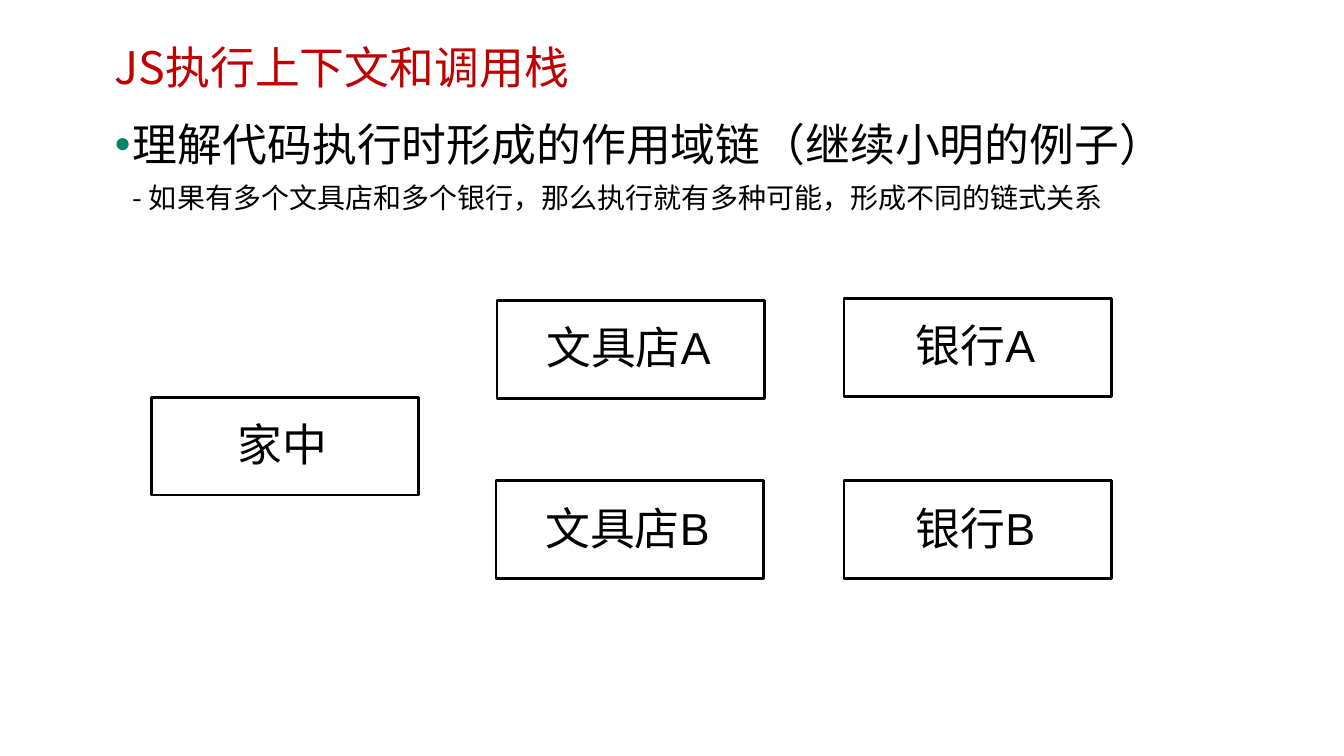
import pptx
import pptx.util
import pptx.dml.color
import pptx.enum.shapes
import pptx.enum.text
import pptx.oxml.ns
from lxml import etree

Inches, Pt = pptx.util.Inches, pptx.util.Pt
RGB = pptx.dml.color.RGBColor.from_string

# Content
TITLE = "JS执行上下文和调用栈"
POINT = "理解代码执行时形成的作用域链（继续小明的例子）"
DETAIL = "- 如果有多个文具店和多个银行，那么执行就有多种可能，形成不同的链式关系"
PLACES = [  # label, left, top
    ("家中", 1.5, 3.94),
    ("文具店A", 4.93, 2.98),
    ("文具店B", 4.92, 4.77),
    ("银行A", 8.37, 2.96),
    ("银行B", 8.37, 4.77),
]
PLACE_SIZE = (2.65, 0.97)
TEXT_LEFT, INDENT = 1.04, 0.18

THEME = {
    "title": "C00000", "text": "000000", "bullet": "008469", "fill": "FFFFFF",
    "large": 32, "small": 20, "line": 2,
    "cjk": "Noto Sans CJK SC", "latin": "Arial",
}


def add_xml(parent, tag, **attributes):
    return etree.SubElement(parent, pptx.oxml.ns.qn(tag), attributes)


def style_run(r, size, color, font):
    r.font.size = Pt(size)
    r.font.color.rgb = RGB(color)
    r.font.name = font
    add_xml(r.font._element, "a:ea", typeface=THEME["cjk"])


def add_text(s, text, left, top, width, height, sizes, color):
    """Text box with a hanging indent; one size for each line."""
    tf = s.shapes.add_textbox(*map(Inches, (left, top, width, height))).text_frame
    tf.word_wrap = True
    p = tf.paragraphs[0]
    p.text = text
    for r, size in zip(p.runs, sizes):
        style_run(r, size, color, THEME["cjk"])
    pPr = p._p.get_or_add_pPr()
    pPr.set("marL", str(Inches(INDENT)))
    pPr.set("indent", str(-Inches(INDENT)))
    return p


def add_place(s, label, left, top):
    sp = s.shapes.add_shape(
        pptx.enum.shapes.MSO_SHAPE.FLOWCHART_PROCESS,
        *map(Inches, (left, top, *PLACE_SIZE)))
    sp.shadow.inherit = False
    sp.fill.solid()
    sp.fill.fore_color.rgb = RGB(THEME["fill"])
    sp.line.color.rgb = RGB(THEME["text"])
    sp.line.width = Pt(THEME["line"])
    tf = sp.text_frame
    tf.margin_right, tf.margin_bottom = Inches(0.14), Inches(0.1)
    tf.vertical_anchor = pptx.enum.text.MSO_ANCHOR.MIDDLE
    p = tf.paragraphs[0]
    p.text = label
    p.alignment = pptx.enum.text.PP_ALIGN.CENTER
    style_run(p.runs[0], THEME["large"], THEME["text"], THEME["latin"])


prs = pptx.Presentation()
prs.slide_width, prs.slide_height = Inches(13.33), Inches(7.5)
s = prs.slides.add_slide(prs.slide_layouts[6])

# Title
add_text(s, TITLE, TEXT_LEFT, 0.34, 8.96, 0.54, [THEME["large"]], THEME["title"])

# Bulleted point with its detail on the next line
p = add_text(s, POINT + "\v" + DETAIL, TEXT_LEFT, 0.95, 10.82, 5.69,
             [THEME["large"], THEME["small"]], THEME["text"])
p.line_spacing = 1.3
pPr = p._p.get_or_add_pPr()
add_xml(add_xml(pPr, "a:buClr"), "a:srgbClr", val=THEME["bullet"])
add_xml(pPr, "a:buFont", typeface=THEME["latin"])
add_xml(pPr, "a:buChar", char="•")

# Places
for place in PLACES:
    add_place(s, *place)

prs.save("out.pptx")
